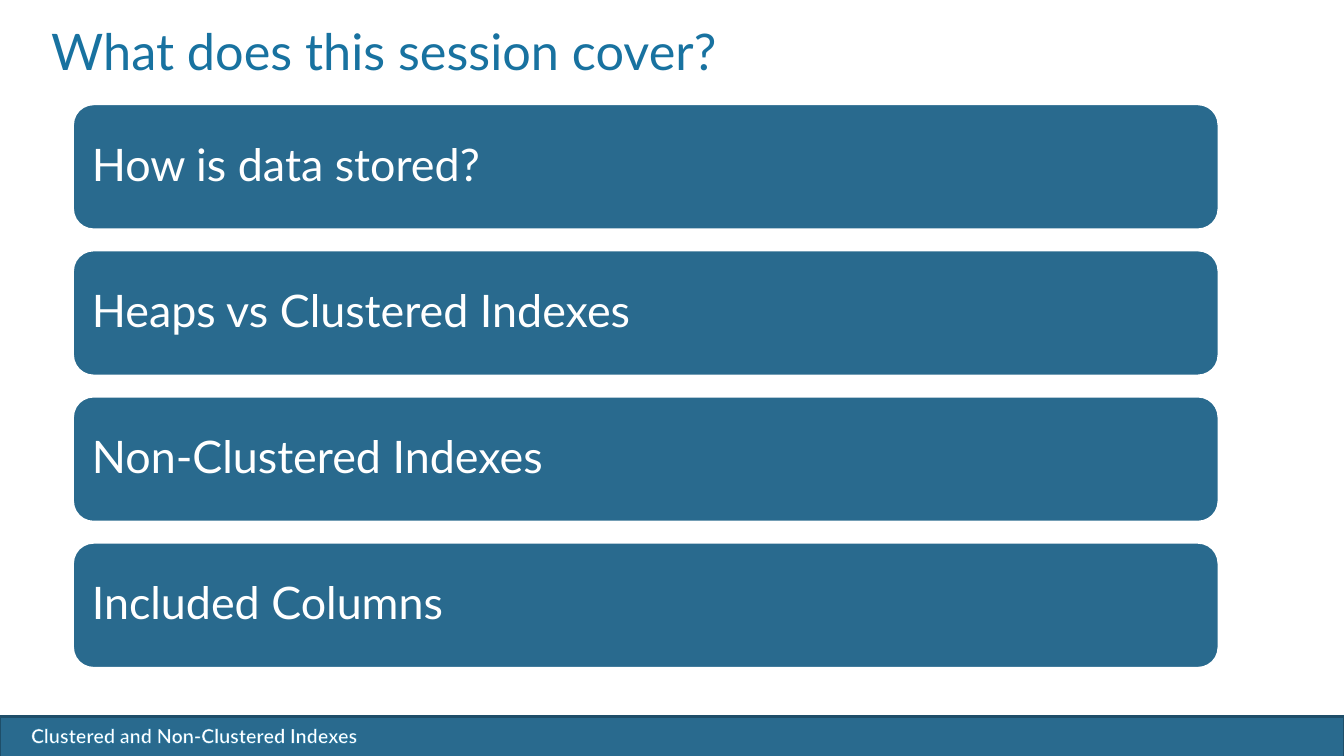
from lxml import etree
from pptx import Presentation
from pptx.dml.color import RGBColor
from pptx.enum import shapes, text
from pptx.oxml import ns
from pptx.util import Inches, Pt

WHITE = RGBColor(0xFF, 0xFF, 0xFF)
BLUE = RGBColor(0x18, 0x72, 0xA0)
STEEL = RGBColor(0x29, 0x6A, 0x8E)
NAVY = RGBColor(0x1E, 0x4E, 0x69)
WIDE, HIGH = 13.33, 7.5
TOPICS = ["How is data stored?", "Heaps vs Clustered Indexes",
          "Non-Clustered Indexes", "Included Columns"]


def write(frame, words, size, color, bold=False, **form):
    """Set the only paragraph of a frame; form holds paragraph formats."""
    frame.word_wrap = True
    para = frame.paragraphs[0]
    for name, value in {"alignment": text.PP_ALIGN.LEFT, **form}.items():
        setattr(para, name, value)
    run = para.add_run()
    run.text = words
    for name, value in {"name": "Lato", "size": Pt(size), "bold": bold}.items():
        setattr(run.font, name, value)
    run.font.color.rgb = color
    return run


def panel(slide, kind, box, edge):
    shape = slide.shapes.add_shape(kind, *map(Inches, box))
    shape.shadow.inherit = False
    shape.fill.solid()
    shape.fill.fore_color.rgb = STEEL
    shape.line.color.rgb = edge
    shape.line.width = Pt(2)
    return shape


def outline(run, color, width):
    """Give the letters of a run a thin edge."""
    line = etree.Element(ns.qn("a:ln"), w=str(Pt(width)))
    fill = etree.SubElement(line, ns.qn("a:solidFill"))
    etree.SubElement(fill, ns.qn("a:srgbClr"), val=str(color))
    run.font._element.insert(0, line)


def footer(slide, box, words):
    left, top, wide, high = box
    panel(slide, shapes.MSO_SHAPE.RECTANGLE, box, NAVY)
    label = slide.shapes.add_textbox(
        *map(Inches, (left + 0.21, top + 0.02, wide * 0.45, high * 0.85)))
    run = write(label.text_frame, words, 14, WHITE, bold=True)
    outline(run, BLUE, 0.8)


def title(slide, box, words):
    label = slide.shapes.add_textbox(*map(Inches, box))
    write(label.text_frame, words, 36, BLUE, line_spacing=Pt(35))


def agenda(slide, box, topics, gap=0.2):
    """Stack one rounded bar per topic, equally spaced in the box."""
    left, top, wide, high = box
    step = (high + gap) / len(topics)
    for row, topic in enumerate(topics):
        bar = panel(slide, shapes.MSO_SHAPE.ROUNDED_RECTANGLE,
                    (left, top + row * step, wide, step - gap), WHITE)
        frame = bar.text_frame
        frame.vertical_anchor = text.MSO_ANCHOR.MIDDLE
        for side in ("left", "top", "right", "bottom"):
            setattr(frame, f"margin_{side}", Inches(0.13))
        write(frame, topic, 32, WHITE, line_spacing=0.9)


def main():
    deck = Presentation()
    deck.slide_width, deck.slide_height = Inches(WIDE), Inches(HIGH)
    slide = deck.slides.add_slide(deck.slide_layouts[6])
    footer(slide, (0, 7.11, WIDE, 0.4), "Clustered and Non-Clustered Indexes")
    title(slide, (0.41, 0.26, 12, 1.25), "What does this session cover?")
    agenda(slide, (0.72, 1.03, 11.37, 5.6), TOPICS)
    deck.save("out.pptx")


if __name__ == "__main__":
    main()
